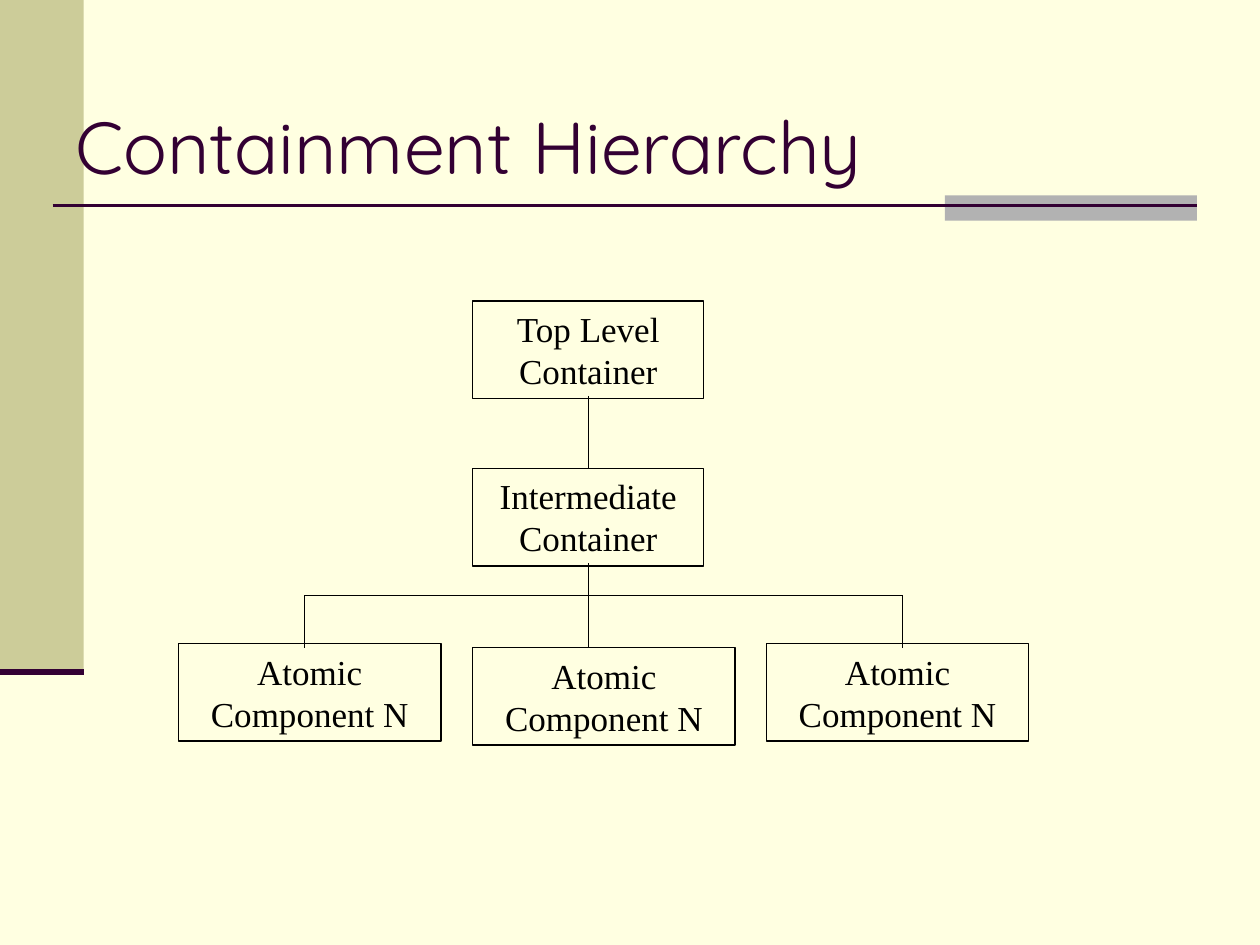
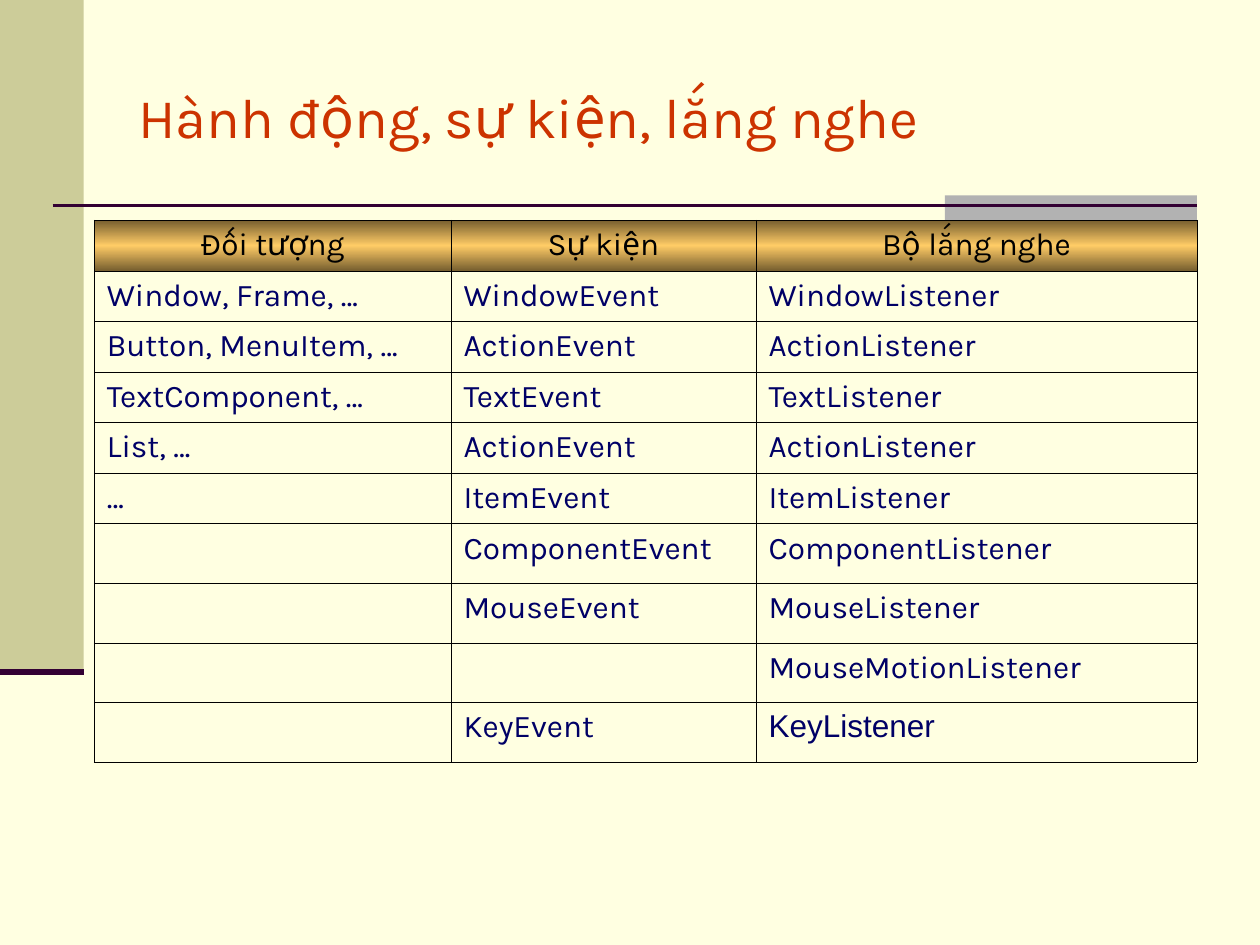
from lxml import etree
from pptx import Presentation, util as u
from pptx.dml.color import RGBColor
from pptx.enum import shapes, text
from pptx.oxml import parse_xml
from pptx.oxml.ns import nsdecls, qn

CREAM = RGBColor(0xFF, 0xFF, 0xE1)
OLIVE = RGBColor(0xCC, 0xCC, 0x99)
GREY = RGBColor(0xB2, 0xB2, 0xB2)
PLUM = RGBColor(0x33, 0x00, 0x33)
RUST = RGBColor(0xCC, 0x33, 0x00)
NAVY = RGBColor(0x00, 0x00, 0x66)
BLACK = RGBColor(0, 0, 0)
GOLD = RGBColor(0xFF, 0xCC, 0x66)
BRONZE = RGBColor(0x76, 0x5E, 0x2F)


def add_line(s, x1, y1, x2, y2, color, width):
    c = s.shapes.add_connector(shapes.MSO_CONNECTOR.STRAIGHT,
                               u.Cm(x1), u.Cm(y1), u.Cm(x2), u.Cm(y2))
    c.line.color.rgb = color
    c.line.width = u.Pt(width)
    etree.SubElement(c._element.spPr, qn("a:effectLst"))


def write(tf, words, font, size, color, align=text.PP_ALIGN.LEFT):
    tf.word_wrap = True
    p = tf.paragraphs[0]
    p.text = words
    p.alignment = align
    for r in p.runs:
        r.font.name = font
        r.font.size = u.Pt(size)
        r.font.color.rgb = color


prs = Presentation()
prs.slide_width, prs.slide_height = u.Cm(25.4), u.Cm(19.05)

# Shared background, bands, rules and titles
TITLES = [
    ("Containment Hierarchy", "Quicksand", 42, PLUM,
     (1.27, 0.33, 20.96, 3.61), text.MSO_ANCHOR.BOTTOM),
    ("Hành động, sự kiện, lắng nghe", "Karla", 32, RUST,
     (2.54, 0.76, 21.59, 3.18), text.MSO_ANCHOR.MIDDLE),
]
BANDS = [((0, 0, 1.69, 13.55), OLIVE), ((19.05, 3.94, 5.08, 0.51), GREY)]

for words, font, size, color, box, anchor in TITLES:
    s = prs.slides.add_slide(prs.slide_layouts[6])
    s.background.fill.solid()
    s.background.fill.fore_color.rgb = CREAM
    for band, fill in BANDS:
        sp = s.shapes.add_shape(shapes.MSO_SHAPE.RECTANGLE, *map(u.Cm, band))
        sp.shadow.inherit = False
        sp.fill.solid()
        sp.fill.fore_color.rgb = fill
        sp.line.fill.background()
    add_line(s, 1.06, 4.14, 24.13, 4.14, PLUM, 1.5)
    add_line(s, 0, 13.55, 1.69, 13.55, PLUM, 3.5)
    tf = s.shapes.add_textbox(*map(u.Cm, box)).text_frame
    tf.vertical_anchor = anchor
    write(tf, words, font, size, color)

hierarchy, events = prs.slides

# Hierarchy boxes
BOX_H = 1.96
BOXES = [
    ("Top Level Container", 9.53, 6.07, 4.66),
    ("Intermediate Container", 9.53, 9.45, 4.66),
    ("Atomic Component N", 15.45, 12.98, 5.29),
    ("Atomic Component N", 3.6, 12.98, 5.29),
    ("Atomic Component N", 9.53, 13.06, 5.29),
]
for words, x, y, w in BOXES:
    sp = hierarchy.shapes.add_shape(shapes.MSO_SHAPE.RECTANGLE,
                                    u.Cm(x), u.Cm(y), u.Cm(w), u.Cm(BOX_H))
    sp.shadow.inherit = False
    sp.fill.background()
    sp.line.color.rgb = BLACK
    sp.line.width = u.Pt(0.75)
    sp.text_frame.vertical_anchor = text.MSO_ANCHOR.TOP
    write(sp.text_frame, words, "Times New Roman", 20, BLACK,
          text.PP_ALIGN.CENTER)

# Hierarchy links
LEFT, MID, RIGHT = 6.14, 11.86, 18.2
BUS, LEAF = 12, 13.06
LINKS = [
    (MID, 7.98, MID, 9.45),
    (MID, 11.35, MID, LEAF),
    (LEFT, BUS, RIGHT, BUS),
    (RIGHT, BUS, RIGHT, LEAF),
    (LEFT, BUS, LEFT, LEAF),
]
for link in LINKS:
    add_line(hierarchy, *link, BLACK, 0.75)

# Event table
ROWS = [
    ("Đối tượng", "Sự kiện", "Bộ lắng nghe"),
    ("Window, Frame, …", "WindowEvent", "WindowListener"),
    ("Button, MenuItem, …", "ActionEvent", "ActionListener"),
    ("TextComponent, …", "TextEvent", "TextListener"),
    ("List, …", "ActionEvent", "ActionListener"),
    ("…", "ItemEvent", "ItemListener"),
    ("", "ComponentEvent", "ComponentListener"),
    ("", "MouseEvent", "MouseListener"),
    ("", "", "MouseMotionListener"),
    ("", "KeyEvent", "KeyListener"),
]
COL_W = [7.19, 6.15, 8.89]
ROW_H = [1.02] * 6 + [1.2] * 4
tbl = events.shapes.add_table(len(ROWS), len(COL_W), u.Cm(1.9), u.Cm(4.44),
                              u.Cm(sum(COL_W)), u.Cm(sum(ROW_H))).table
tbl.first_row = tbl.horz_banding = False
for col, w in zip(tbl.columns, COL_W):
    col.width = u.Cm(w)
for row, h in zip(tbl.rows, ROW_H):
    row.height = u.Cm(h)

for i, row in enumerate(ROWS):
    for j, words in enumerate(row):
        cell = tbl.cell(i, j)
        font = "Arial" if words == "KeyListener" else "Karla"
        if i == 0:
            write(cell.text_frame, words, font, 18, BLACK,
                  text.PP_ALIGN.CENTER)
        else:
            write(cell.text_frame, words, font, 18, NAVY)
            cell.fill.background()
        tcPr = cell._tc.get_or_add_tcPr()
        if i == 0:
            stops = "".join(
                f'<a:gs pos="{pos}"><a:srgbClr val="{color}"/></a:gs>'
                for pos, color in ((0, BRONZE), (50000, GOLD), (100000, BRONZE)))
            tcPr.append(parse_xml(
                f'<a:gradFill {nsdecls("a")}><a:gsLst>{stops}</a:gsLst>'
                '<a:lin ang="5400000" scaled="0"/></a:gradFill>'))
        for k, side in enumerate("LRTB"):
            tcPr.insert(k, parse_xml(
                f'<a:ln{side} {nsdecls("a")} w="{u.Pt(0.45)}"><a:solidFill>'
                f'<a:srgbClr val="{BLACK}"/></a:solidFill></a:ln{side}>'))

prs.save("out.pptx")
